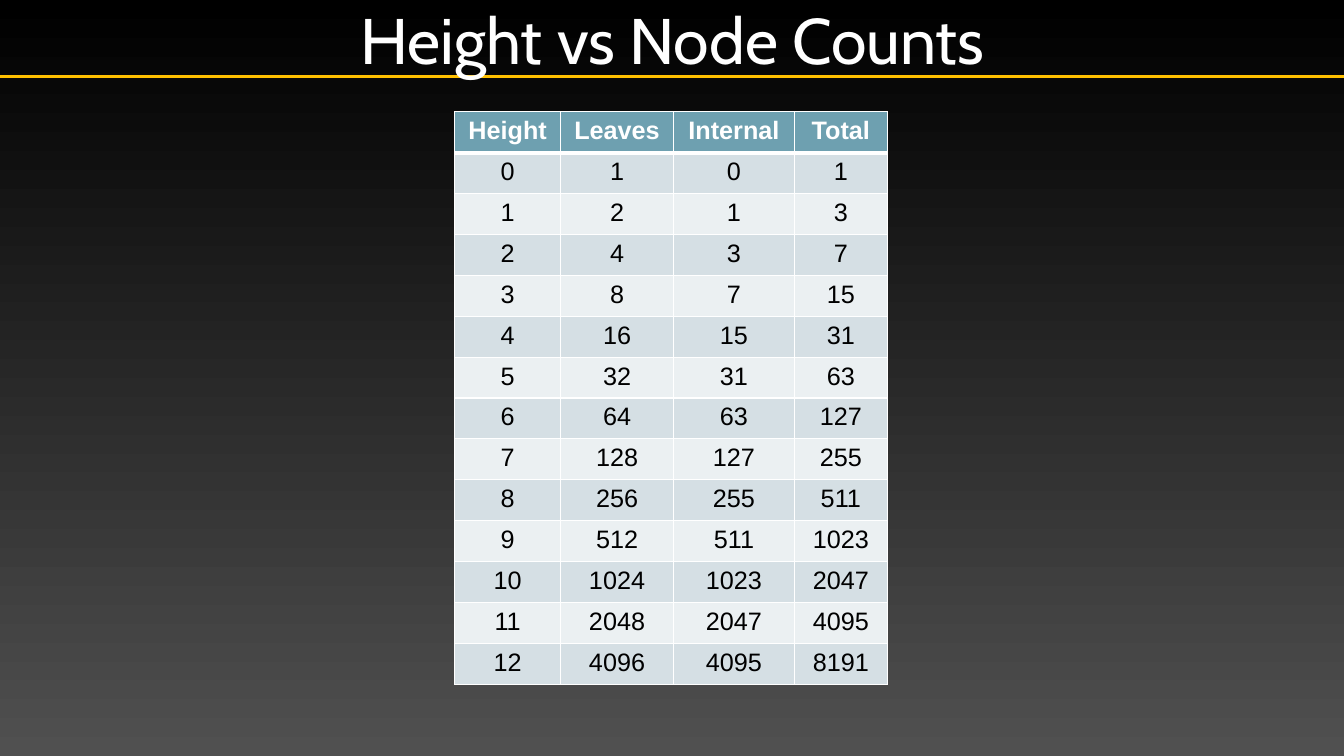
from dataclasses import dataclass

from lxml import etree
from pptx import Presentation
from pptx.dml.color import RGBColor
from pptx.enum.shapes import MSO_CONNECTOR
from pptx.enum.text import MSO_ANCHOR, PP_ALIGN
from pptx.oxml.ns import qn
from pptx.util import Inches, Pt

STRAIGHT = MSO_CONNECTOR.STRAIGHT
MIDDLE = MSO_ANCHOR.MIDDLE
CENTER = PP_ALIGN.CENTER


@dataclass(frozen=True)
class Theme:
    bg_top: str = "000000"
    bg_bottom: str = "505050"
    accent: str = "FFC000"
    light: str = "FFFFFF"
    dark: str = "000000"
    header: str = "6EA0B0"
    bands: tuple = ("D5DFE4", "EBF0F2")
    title_font: str = "Cabin"
    body_font: str = "Arial"
    title_size: int = 46
    body_size: int = 18
    rule_width: float = 2.5
    border: int = 1
    header_border: int = 3


class SlideBuilder:
    def __init__(self, slide, theme):
        self.s = slide
        self.theme = theme

    def background(self):
        fill = self.s.background.fill
        fill.gradient()
        fill.gradient_angle = 270
        colors = (self.theme.bg_top, self.theme.bg_bottom)
        for position, (stop, color) in enumerate(zip(fill.gradient_stops, colors)):
            stop.position = position
            stop.color.rgb = RGBColor.from_string(color)

    def rule(self, y, width):
        line = self.s.shapes.add_connector(STRAIGHT, 0, Inches(y), Inches(width), Inches(y))
        line.line.color.rgb = RGBColor.from_string(self.theme.accent)
        line.line.width = Pt(self.theme.rule_width)
        etree.SubElement(line._element.spPr, qn("a:effectLst"))

    def format_text(self, tf, font, size, color, bold=False):
        for p in tf.paragraphs:
            p.alignment = CENTER
            for r in p.runs:
                r.font.name = font
                r.font.size = Pt(size)
                r.font.bold = bold
                r.font.color.rgb = RGBColor.from_string(color)

    def title(self, text, left, top, width, height):
        sp = self.s.shapes.add_textbox(Inches(left), Inches(top), Inches(width), Inches(height))
        tf = sp.text_frame
        tf.word_wrap = True
        tf.vertical_anchor = MIDDLE
        tf.margin_left = tf.margin_right = tf.margin_top = tf.margin_bottom = Inches(0.05)
        tf.text = text
        self.format_text(tf, self.theme.title_font, self.theme.title_size, self.theme.light)

    def cell_borders(self, cell, widths):
        tc_pr = cell._tc.get_or_add_tcPr()
        for side, width in widths.items():
            ln = etree.SubElement(tc_pr, qn(f"a:ln{side}"), w=str(Pt(width)))
            fill = etree.SubElement(ln, qn("a:solidFill"))
            etree.SubElement(fill, qn("a:srgbClr"), val=self.theme.light)

    def table(self, rows, left, top, col_widths, height):
        theme = self.theme
        frame = self.s.shapes.add_table(
            len(rows), len(col_widths), Inches(left), Inches(top),
            Inches(sum(col_widths)), Inches(height))
        table = frame.table
        for column, width in zip(table.columns, col_widths):
            column.width = Inches(width)
        for i, values in enumerate(rows):
            table.rows[i].height = Inches(height / len(rows))
            is_header = i == 0
            fill = theme.header if is_header else theme.bands[(i - 1) % 2]
            color = theme.light if is_header else theme.dark
            widths = dict.fromkeys("LRTB", theme.border)
            if i < 2:
                widths["B" if is_header else "T"] = theme.header_border
            for j, value in enumerate(values):
                cell = table.cell(i, j)
                cell.text_frame.text = str(value)
                self.format_text(cell.text_frame, theme.body_font, theme.body_size, color, is_header)
                self.cell_borders(cell, widths)
                cell.fill.solid()
                cell.fill.fore_color.rgb = RGBColor.from_string(fill)


def main():
    prs = Presentation()
    prs.slide_width = Inches(13.33)
    prs.slide_height = Inches(7.5)
    builder = SlideBuilder(prs.slides.add_slide(prs.slide_layouts[6]), Theme())

    builder.background()
    builder.rule(0.76, 13.33)
    builder.title("Height vs Node Counts", 1.67, 0, 10, 0.76)

    node_counts = [("Height", "Leaves", "Internal", "Total")]
    for height in range(13):
        leaves = 2 ** height
        internal = leaves - 1
        node_counts.append((height, leaves, internal, leaves + internal))
    builder.table(node_counts, 4.51, 1.11, (1.05, 1.12, 1.2, 0.92), 5.68)

    prs.save("out.pptx")


if __name__ == "__main__":
    main()
